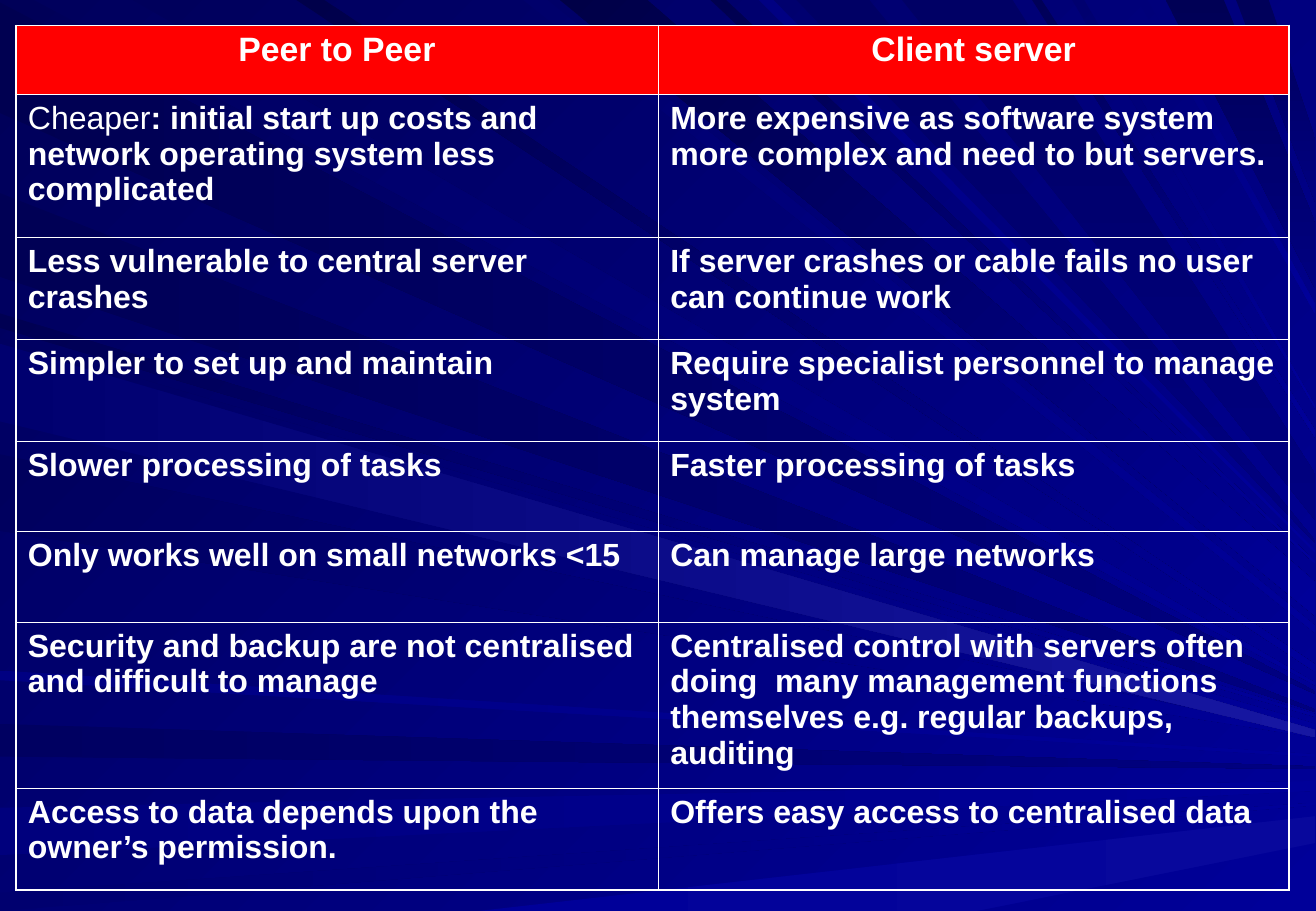
from dataclasses import dataclass
from enum import Enum

from lxml.etree import SubElement
from pptx import Presentation
from pptx.dml.color import RGBColor as Rgb
from pptx.dml.fill import FillFormat
from pptx.enum.text import PP_ALIGN as Align
from pptx.oxml.ns import qn
from pptx.slide import Slide
from pptx.table import _Cell as Cell
from pptx.util import Cm, Pt


@dataclass(frozen=True)
class Theme:
    """Colours, type sizes and line widths of the slide."""
    font: str = "Arial"
    ink: str = "FFFFFF"
    header: str = "FF0000"
    dusk: str = "000058"
    navy: str = "000080"
    blue: str = "000099"
    glow: str = "1717A2"
    header_size: float = 20
    body_size: float = 19
    inner_rule: float = 0.45
    outer_rule: float = 1.08


class Edge(Enum):
    """Slide edge on which a beam starts."""
    LEFT = "left"
    TOP = "top"
    BOTTOM = "bottom"


class Sweep(Enum):
    """Clockwise angle of a beam's gradient."""
    ACROSS = 0
    DIAGONAL = 45
    DOWN = 90


@dataclass(frozen=True)
class Beam:
    """A beam from a span of one edge to the right edge, in hundredths of an inch."""
    edge: Edge
    near: int
    far: int
    tip: int
    start: str
    end: str
    sweep: Sweep
    spread: int = 1

    def corners(self) -> list[tuple[int, int]]:
        """List the four corners in drawing order."""
        if self.edge is Edge.LEFT:
            base = [(0, self.near), (0, self.far)]
        elif self.edge is Edge.TOP:
            base = [(self.far, 0), (self.near, 0)]
        else:
            base = [(self.near, SLIDE_BOTTOM), (self.far, SLIDE_BOTTOM)]
        return base + [(SLIDE_RIGHT, self.tip + self.spread), (SLIDE_RIGHT, self.tip - self.spread)]


@dataclass(frozen=True)
class Comparison:
    """One table row, with an optional light lead-in on the left."""
    height: float
    peer: str
    server: str
    light_lead: str = ""


THEME = Theme()
NAVY, BLUE, GLOW = THEME.navy, THEME.blue, THEME.glow
HUNDREDTH_INCH = Cm(0.0254)
SLIDE_RIGHT, SLIDE_BOTTOM = 1083, 750

BEAMS = (
    Beam(Edge.LEFT, 2, 93, 570, "000051", NAVY, Sweep.ACROSS),
    Beam(Edge.TOP, 28, 109, 563, "00005D", BLUE, Sweep.DIAGONAL),
    Beam(Edge.LEFT, 596, 623, 632, "000061", NAVY, Sweep.ACROSS),
    Beam(Edge.LEFT, 665, 704, 647, "00007D", BLUE, Sweep.ACROSS, 4),
    Beam(Edge.LEFT, 735, 750, 662, "00006F", BLUE, Sweep.ACROSS),
    Beam(Edge.BOTTOM, 394, 804, 683, BLUE, "08089C", Sweep.ACROSS, 11),
    Beam(Edge.LEFT, 258, 270, 589, "000053", BLUE, Sweep.DIAGONAL),
    Beam(Edge.LEFT, 159, 228, 585, "000055", NAVY, Sweep.ACROSS),
    Beam(Edge.TOP, 431, 451, 518, "00006B", BLUE, Sweep.DIAGONAL, 3),
    Beam(Edge.TOP, 461, 533, 493, "000047", BLUE, Sweep.DIAGONAL, 14),
    Beam(Edge.TOP, 585, 598, 463, "00004F", BLUE, Sweep.DIAGONAL),
    Beam(Edge.TOP, 656, 716, 446, "000065", NAVY, Sweep.DOWN),
    Beam(Edge.TOP, 960, 1008, 210, "000055", NAVY, Sweep.DOWN, 27),
    Beam(Edge.TOP, 1018, 1045, 140, "000059", NAVY, Sweep.DOWN, 26),
    Beam(Edge.LEFT, 278, 342, 599, "000061", BLUE, Sweep.DIAGONAL, 3),
    Beam(Edge.LEFT, 374, 437, 606, "00005D", BLUE, Sweep.DIAGONAL),
    Beam(Edge.LEFT, 552, 560, 622, "000082", BLUE, Sweep.ACROSS),
    Beam(Edge.TOP, 244, 267, 550, "00004A", BLUE, Sweep.DIAGONAL, 3),
    Beam(Edge.TOP, 625, 637, 454, "000082", BLUE, Sweep.DIAGONAL),
    Beam(Edge.TOP, 743, 834, 409, "000065", NAVY, Sweep.DOWN, 19),
    Beam(Edge.TOP, 850, 858, 357, "000058", BLUE, Sweep.DIAGONAL, 3),
    Beam(Edge.TOP, 883, 893, 335, "00006F", BLUE, Sweep.DIAGONAL),
    Beam(Edge.TOP, 937, 945, 254, "000079", BLUE, Sweep.DIAGONAL, 4),
    Beam(Edge.LEFT, 283, 347, 604, "00006F", GLOW, Sweep.ACROSS, 3),
)

COLUMN_WIDTHS = (13.44, 13.2)
COMPARISONS = (
    Comparison(1.45, "Peer to Peer", "Client server"),
    Comparison(2.99, ": initial start up costs and network operating system less complicated",
               "More expensive as software system more complex and need to but servers.", "Cheaper"),
    Comparison(2.13, "Less vulnerable to central server crashes",
               "If server crashes or cable fails no user can continue work"),
    Comparison(2.13, "Simpler to set up and maintain",
               "Require specialist personnel to manage system"),
    Comparison(1.89, "Slower processing of tasks", "Faster processing of tasks"),
    Comparison(1.89, "Only works well on small networks <15", "Can manage large networks"),
    Comparison(3.47, "Security and backup are not centralised and difficult to manage",
               "Centralised control with servers often doing  many management functions "
               "themselves e.g. regular backups, auditing"),
    Comparison(2.13, "Access to data depends upon the owner’s permission.",
               "Offers easy access to centralised data"),
)


def paint(fill: FillFormat, start: str, end: str, sweep: Sweep) -> None:
    """Fill with a clockwise linear gradient."""
    fill.gradient()
    fill.gradient_angle = -sweep.value % 360
    for stop, colour in zip(fill.gradient_stops, (start, end)):
        stop.color.rgb = Rgb.from_string(colour)


def draw_beam(slide: Slide, beam: Beam) -> None:
    """Draw one background beam."""
    first, *others = beam.corners()
    outline = slide.shapes.build_freeform(*first, scale=HUNDREDTH_INCH)
    outline.add_line_segments(others, close=True)
    ray = outline.convert_to_shape()
    ray.shadow.inherit = False
    ray.line.fill.background()
    paint(ray.fill, beam.start, beam.end, beam.sweep)


def rule_cell(cell: Cell, outer_sides: dict[str, bool]) -> None:
    """Draw the four borders, heavier on the outside of the table."""
    properties = cell._tc.get_or_add_tcPr()
    for side, is_outer in outer_sides.items():
        width = THEME.outer_rule if is_outer else THEME.inner_rule
        border = SubElement(properties, qn(f"a:ln{side}"), w=str(Pt(width)))
        SubElement(SubElement(border, qn("a:solidFill")), qn("a:srgbClr"), val=THEME.ink)


def write_cell(cell: Cell, light_lead: str, statement: str, is_header: bool) -> None:
    """Write a statement after its optional light lead-in."""
    paragraph = cell.text_frame.paragraphs[0]
    paragraph.alignment = Align.CENTER if is_header else Align.LEFT
    size = THEME.header_size if is_header else THEME.body_size
    for words, bold in ((light_lead, False), (statement, True)):
        if not words:
            continue
        run = paragraph.add_run()
        run.text = words
        run.font.color.rgb = Rgb.from_string(THEME.ink)
        for attribute, value in {"name": THEME.font, "size": Pt(size), "bold": bold}.items():
            setattr(run.font, attribute, value)


def draw_comparison_table(slide: Slide) -> None:
    """Draw the table that compares the two network types."""
    last_row, last_column = len(COMPARISONS) - 1, len(COLUMN_WIDTHS) - 1
    table = slide.shapes.add_table(
        last_row + 1, last_column + 1, Cm(0.33), Cm(0.53), Cm(sum(COLUMN_WIDTHS)),
        Cm(sum(comparison.height for comparison in COMPARISONS))).table
    for flag, value in {"first_row": False, "horz_banding": False}.items():
        setattr(table, flag, value)
    for column, width in zip(table.columns, COLUMN_WIDTHS):
        column.width = Cm(width)
    for row, comparison in enumerate(COMPARISONS):
        table.rows[row].height = Cm(comparison.height)
        entries = ((comparison.light_lead, comparison.peer), ("", comparison.server))
        for column, (light_lead, statement) in enumerate(entries):
            cell = table.cell(row, column)
            rule_cell(cell, {"L": column == 0, "R": column == last_column,
                             "T": row == 0, "B": row == last_row})
            if row == 0:
                cell.fill.solid()
                cell.fill.fore_color.rgb = Rgb.from_string(THEME.header)
            else:
                cell.fill.background()
            write_cell(cell, light_lead, statement, row == 0)


def main() -> None:
    """Build and save the slide."""
    presentation = Presentation()
    for side, length in {"slide_width": Cm(27.53), "slide_height": Cm(19.05)}.items():
        setattr(presentation, side, length)
    slide = presentation.slides.add_slide(presentation.slide_layouts[6])
    paint(slide.background.fill, THEME.dusk, THEME.blue, Sweep.DIAGONAL)
    for beam in BEAMS:
        draw_beam(slide, beam)
    draw_comparison_table(slide)
    presentation.save("out.pptx")


if __name__ == "__main__":
    main()
